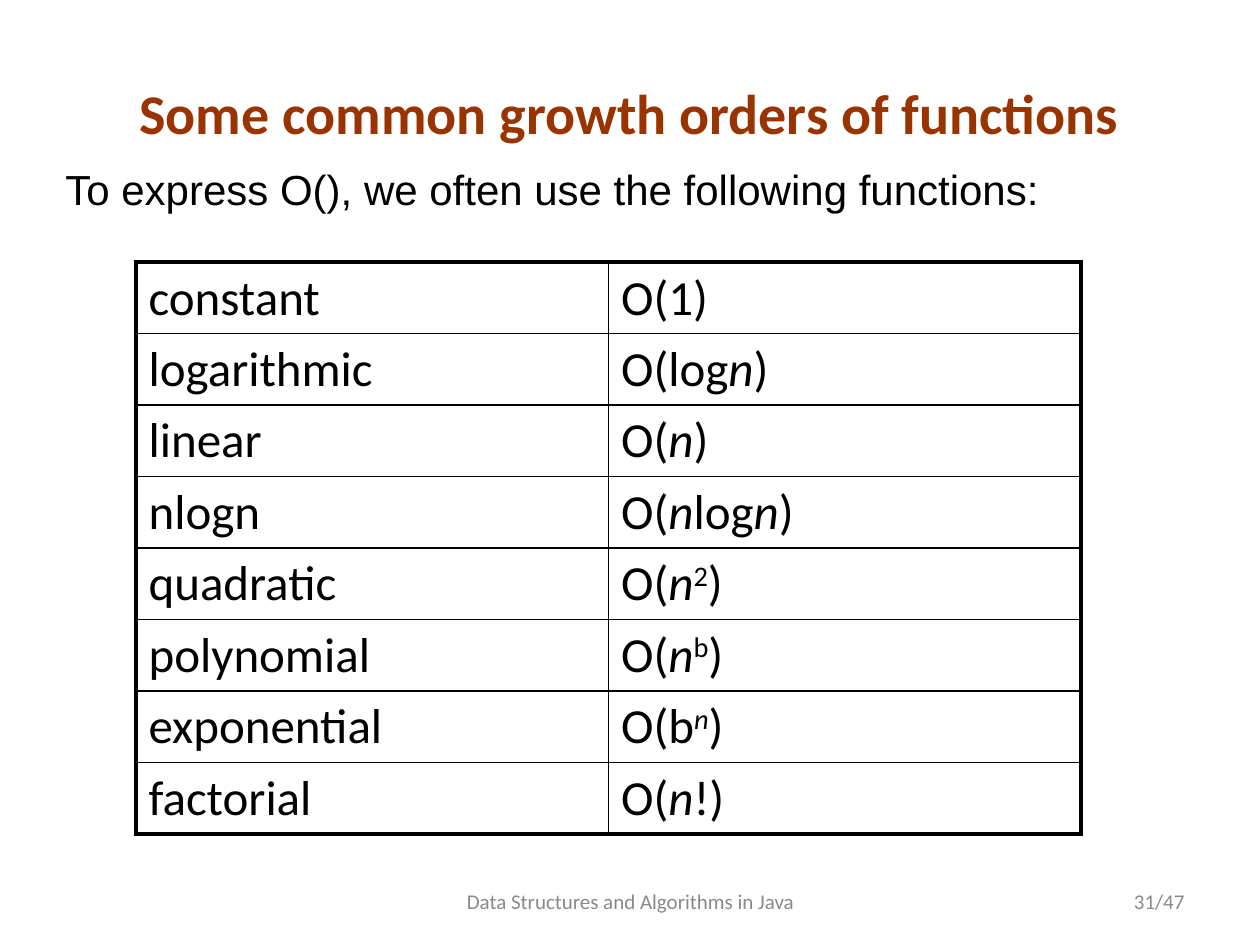
from dataclasses import dataclass

from lxml import etree
from pptx import Presentation
from pptx.dml.color import RGBColor
from pptx.enum.text import MSO_ANCHOR, PP_ALIGN
from pptx.oxml.ns import qn
from pptx.util import Inches, Pt

LEFT, CENTER, RIGHT = PP_ALIGN.LEFT, PP_ALIGN.CENTER, PP_ALIGN.RIGHT
TOP, MIDDLE, BOTTOM = MSO_ANCHOR.TOP, MSO_ANCHOR.MIDDLE, MSO_ANCHOR.BOTTOM

GROWTH_ORDERS = [
    ("constant", [("O(1)", "")]),
    ("logarithmic", [("O(log", ""), ("n", "i"), (")", "")]),
    ("linear", [("O(", ""), ("n", "i"), (")", "")]),
    ("nlogn", [("O(", ""), ("n", "i"), ("log", ""), ("n", "i"), (")", "")]),
    ("quadratic", [("O(", ""), ("n", "i"), ("2", "^"), (")", "")]),
    ("polynomial", [("O(", ""), ("n", "i"), ("b", "^"), (")", "")]),
    ("exponential", [("O(b", ""), ("n", "i^"), (")", "")]),
    ("factorial", [("O(", ""), ("n", "i"), ("!)", "")]),
]


@dataclass(frozen=True)
class Theme:
    """Colours, fonts, type sizes and line widths."""

    heading: str = "993300"
    ink: str = "000000"
    muted: str = "898989"
    sans: str = "Calibri"
    body: str = "Arial"
    title_size: int = 32
    cell_size: int = 28
    lead_size: int = 24
    footer_size: int = 12
    outer_line: float = 2.25
    inner_line: float = 1


class SlideBuilder:
    """Draws styled elements on the current slide."""

    def __init__(self, slide, theme):
        self.s = slide
        self.theme = theme

    def style(self, r, size, color, font=None, bold=False):
        r.font.name = font or self.theme.sans
        r.font.size = Pt(size)
        r.font.bold = bold
        r.font.color.rgb = RGBColor.from_string(color)

    def text(self, box, text, size, color, font=None, bold=False, align=LEFT, anchor=TOP):
        tf = self.s.shapes.add_textbox(*map(Inches, box)).text_frame
        tf.word_wrap = True
        tf.vertical_anchor = anchor
        tf.text = text
        p = tf.paragraphs[0]
        p.alignment = align
        self.style(p.runs[0], size, color, font, bold)

    def title(self, box, text):
        self.text(box, text, self.theme.title_size, self.theme.heading,
                  bold=True, align=CENTER, anchor=BOTTOM)

    def lead(self, box, text):
        self.text(box, text, self.theme.lead_size, self.theme.ink, self.theme.body)

    def footer(self, box, text, align):
        self.text(box, text, self.theme.footer_size, self.theme.muted,
                  align=align, anchor=MIDDLE)

    def formula(self, cell, parts):
        p = cell.text_frame.paragraphs[0]
        for text, marks in parts:
            r = p.add_run()
            r.text = text
            self.style(r, self.theme.cell_size, self.theme.ink)
            r.font.italic = "i" in marks
            if "^" in marks:
                r.font._element.set("baseline", "30000")

    def borders(self, cell, outer):
        tc_pr = cell._tc.get_or_add_tcPr()
        for i, side in enumerate("LRTB"):
            width = self.theme.outer_line if side in outer else self.theme.inner_line
            ln = etree.Element(qn(f"a:ln{side}"), w=str(Pt(width)))
            fill = etree.SubElement(ln, qn("a:solidFill"))
            etree.SubElement(fill, qn("a:srgbClr"), val=self.theme.ink)
            tc_pr.insert(i, ln)

    def table(self, box, rows):
        last = len(rows) - 1
        table = self.s.shapes.add_table(len(rows), 2, *map(Inches, box)).table
        table.first_row = table.horz_banding = False
        for i, (name, order) in enumerate(rows):
            edge = ("T" if i == 0 else "") + ("B" if i == last else "")
            for j, parts in enumerate(([(name, "")], order)):
                cell = table.cell(i, j)
                cell.fill.background()
                self.formula(cell, parts)
                self.borders(cell, edge + "LR"[j])


def main():
    prs = Presentation()
    prs.slide_width, prs.slide_height = Inches(10), Inches(7.5)
    s = SlideBuilder(prs.slides.add_slide(prs.slide_layouts[6]), Theme())
    s.footer((3.17, 6.95, 3.67, 0.4), "Data Structures and Algorithms in Java", CENTER)
    s.footer((7.17, 6.95, 2.33, 0.4), "31/47", RIGHT)
    s.title((0.33, 0.58, 9.33, 0.63), "Some common growth orders of functions")
    s.table((1.08, 2.08, 7.5, 4.53), GROWTH_ORDERS)
    s.lead((0.42, 1.25, 8.58, 0.5), "To express O(), we often use the following functions:")
    prs.save("out.pptx")


if __name__ == "__main__":
    main()
